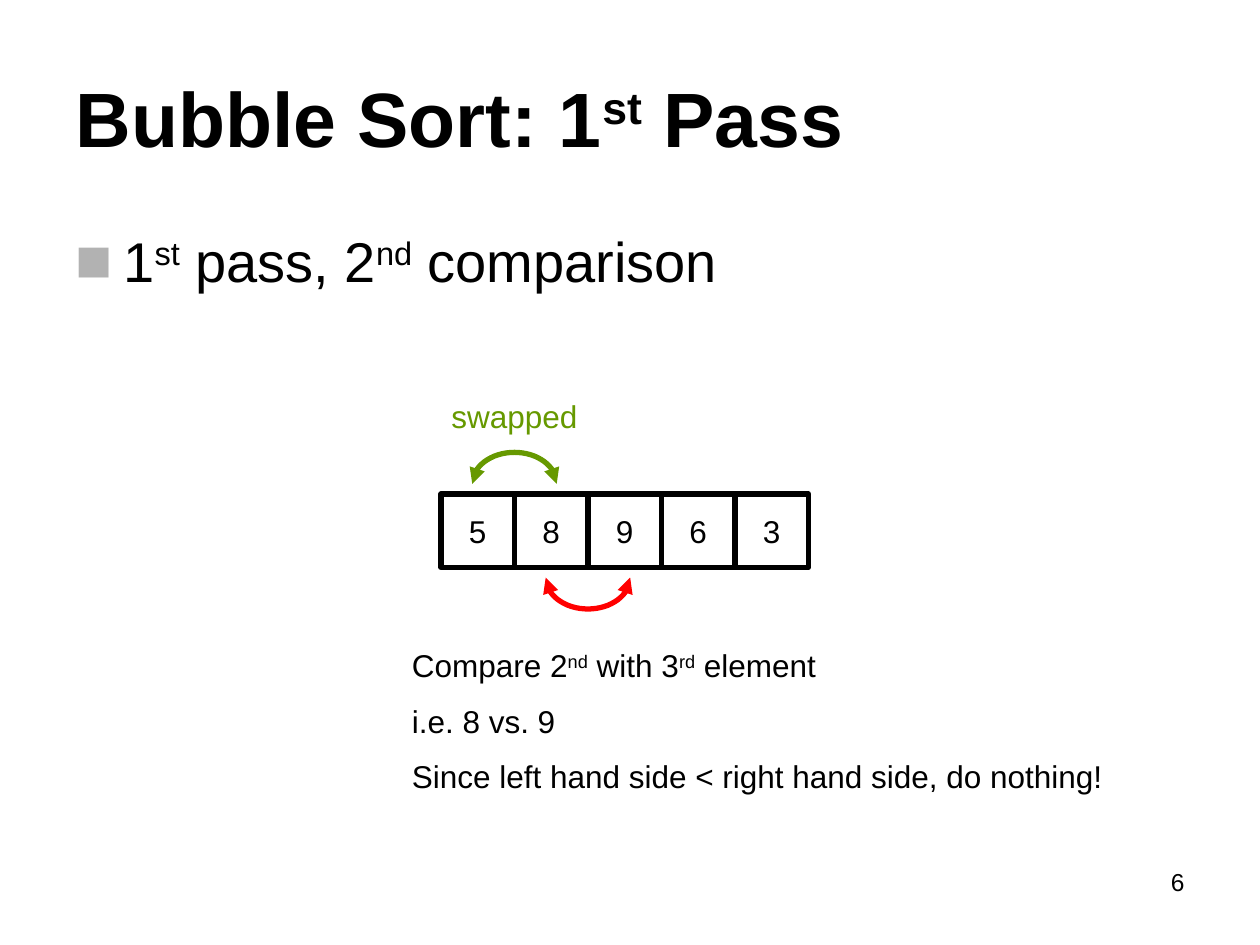
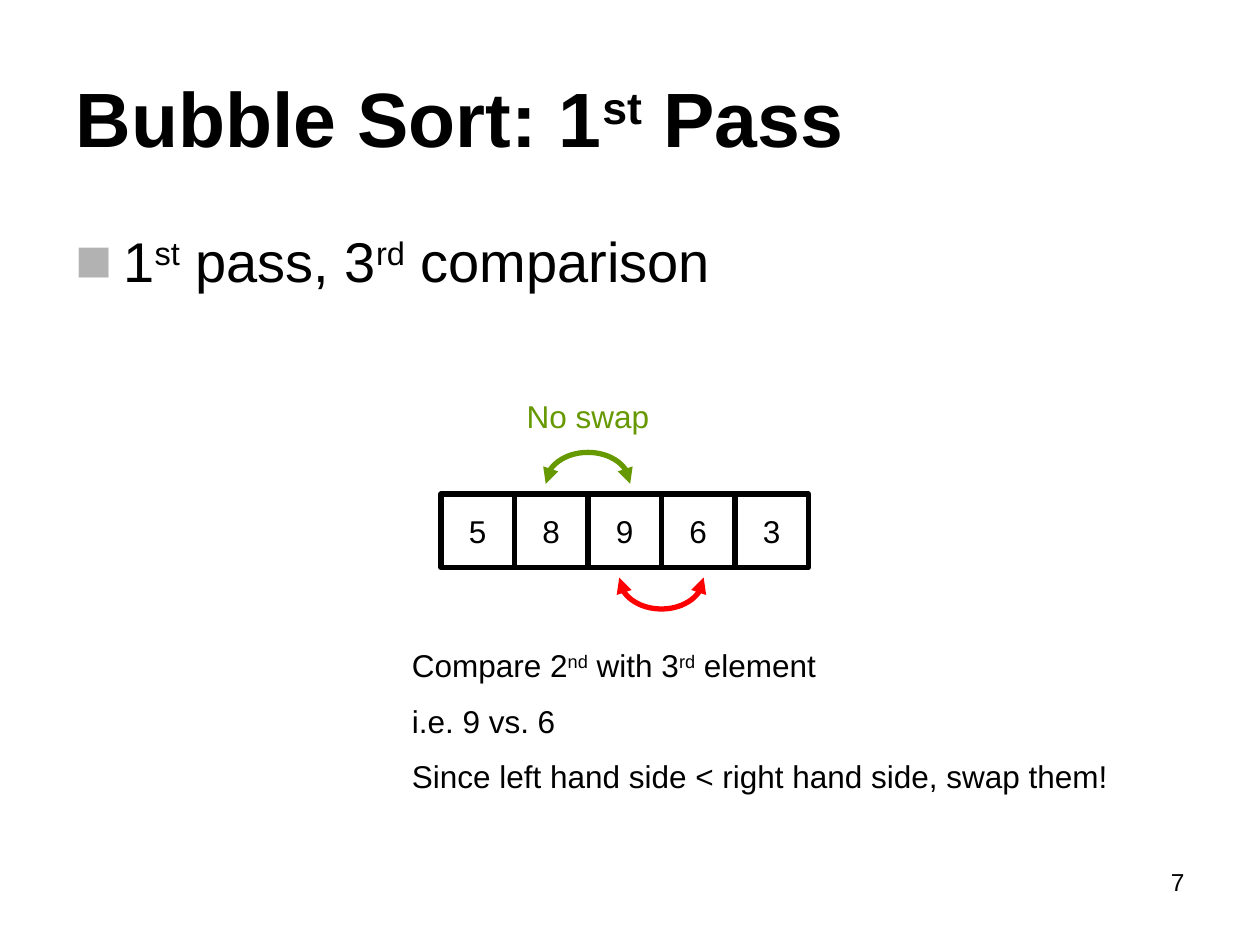
from math import cos, pi, sin

from lxml import etree
from pptx import Presentation
from pptx.dml.color import RGBColor
from pptx.enum import shapes, text
from pptx.oxml import ns
from pptx.util import Inches, Pt

BLACK = RGBColor(0, 0, 0)
WHITE = RGBColor(255, 255, 255)
GREEN = RGBColor(0x66, 0x99, 0x00)
RED = RGBColor(255, 0, 0)
GREY = "B2B2B2"
FONT = "Arial"

SIDE = Inches(7) // 12
ROW_X, ROW_Y = Inches(3.5), Inches(3.92)
ARC_W, ARC_H = Inches(0.67), Inches(0.25)
GAP = Inches(0.08)
STEPS = 32
LEFT = text.PP_ALIGN.LEFT
RIGHT = text.PP_ALIGN.RIGHT
MID = text.PP_ALIGN.CENTER


def write(para, line, size, color=BLACK, align=LEFT, bold=False):
    """Fill a paragraph; parts between carets are superscript."""
    para.alignment = align
    para.space_before = Pt(0)
    for pos, part in enumerate(line.split("^")):
        run = para.add_run()
        run.text = part
        font = run.font
        font.name, font.size, font.bold = FONT, Pt(size), bold
        font.color.rgb = color
        if pos % 2:
            run._r.get_or_add_rPr().set("baseline", "30000")


def place(shape, box):
    shape.left, shape.top, shape.width, shape.height = box


def add_title(slide, line, box):
    title = slide.shapes.title
    place(title, box)
    frame = title.text_frame
    frame.auto_size = text.MSO_AUTO_SIZE.NONE
    frame.vertical_anchor = text.MSO_ANCHOR.MIDDLE
    write(frame.paragraphs[0], line, 44, bold=True)


def add_body(slide, line, box):
    body = slide.placeholders[1]
    place(body, box)
    frame = body.text_frame
    frame.auto_size = text.MSO_AUTO_SIZE.NONE
    para = frame.paragraphs[0]
    props = para._p.get_or_add_pPr()
    props.set("marL", str(Inches(0.38)))
    props.set("indent", str(-Inches(0.38)))
    color = etree.SubElement(props, ns.qn("a:buClr"))
    etree.SubElement(color, ns.qn("a:srgbClr"), val=GREY)
    etree.SubElement(props, ns.qn("a:buSzPct"), val="110000")
    etree.SubElement(props, ns.qn("a:buFont"), typeface=FONT)
    etree.SubElement(props, ns.qn("a:buChar"), char="■")
    write(para, line, 32)


def add_note(slide, lines, box, size=18, color=BLACK, align=LEFT):
    frame = slide.shapes.add_textbox(*box).text_frame
    frame.word_wrap = True
    for pos, line in enumerate(lines):
        para = frame.add_paragraph() if pos else frame.paragraphs[0]
        write(para, line, size, color, align)
        if pos:
            para.space_before = Pt(10)


def add_cells(slide, nums, left, top):
    for pos, num in enumerate(nums):
        cell = slide.shapes.add_shape(
            shapes.MSO_SHAPE.RECTANGLE, left + pos * SIDE, top, SIDE, SIDE)
        cell.shadow.inherit = False
        cell.fill.solid()
        cell.fill.fore_color.rgb = WHITE
        cell.line.color.rgb = BLACK
        cell.line.width = Pt(3)
        frame = cell.text_frame
        frame.word_wrap = False
        frame.vertical_anchor = text.MSO_ANCHOR.MIDDLE
        write(frame.paragraphs[0], str(num), 18, align=MID)


def add_arc(slide, mid, base, rise, color):
    """Draw a half ellipse with two arrowheads; negative rise points up."""
    dots = [(mid - ARC_W / 2 * cos(pi * step / STEPS),
             base + rise * sin(pi * step / STEPS))
            for step in range(STEPS + 1)]
    pen = slide.shapes.build_freeform(*dots[0])
    pen.add_line_segments(dots[1:], close=False)
    arc = pen.convert_to_shape()
    arc.shadow.inherit = False
    arc.fill.background()
    arc.line.color.rgb = color
    arc.line.width = Pt(3)
    edge = arc.line._get_or_add_ln()
    for end in ("a:headEnd", "a:tailEnd"):
        etree.SubElement(edge, ns.qn(end), type="triangle")


def add_row(slide, nums, last, now, label, left, top):
    """Draw the list, the last pair above it and the current pair below."""
    add_cells(slide, nums, left, top)
    add_arc(slide, left + (now + 1) * SIDE, top + SIDE + GAP, ARC_H, RED)
    mid = left + (last + 1) * SIDE
    add_arc(slide, mid, top - GAP, -ARC_H, GREEN)
    wide = Inches(1.33)
    box = (mid - wide // 2, top - Inches(0.82), wide, Inches(0.4))
    add_note(slide, [label], box, color=GREEN, align=MID)


def add_step(deck, page, turn, now, label, pair, act):
    slide = deck.slides.add_slide(deck.slide_layouts[1])
    add_title(slide, "Bubble Sort: 1^st^ Pass",
              (Inches(0.5), Inches(0.3), Inches(9), Inches(1.25)))
    add_body(slide, f"1^st^ pass, {turn} comparison",
             (Inches(0.5), Inches(1.75), Inches(9), Inches(4.95)))
    add_row(slide, (5, 8, 9, 6, 3), now - 1, now, label, ROW_X, ROW_Y)
    add_note(slide, ["Compare 2^nd^ with 3^rd^ element", f"i.e. {pair}",
                     f"Since left hand side < right hand side, {act}!"],
             (Inches(3.17), Inches(5.08), Inches(6.08), Inches(1.3)))
    add_note(slide, [str(page)],
             (Inches(7.17), Inches(6.83), Inches(2.33), Inches(0.52)),
             size=14, align=RIGHT)


def main():
    deck = Presentation()
    deck.slide_width, deck.slide_height = Inches(10), Inches(7.5)
    add_step(deck, 6, "2^nd^", 1, "swapped", "8 vs. 9", "do nothing")
    add_step(deck, 7, "3^rd^", 2, "No swap", "9 vs. 6", "swap them")
    deck.save("out.pptx")


if __name__ == "__main__":
    main()
